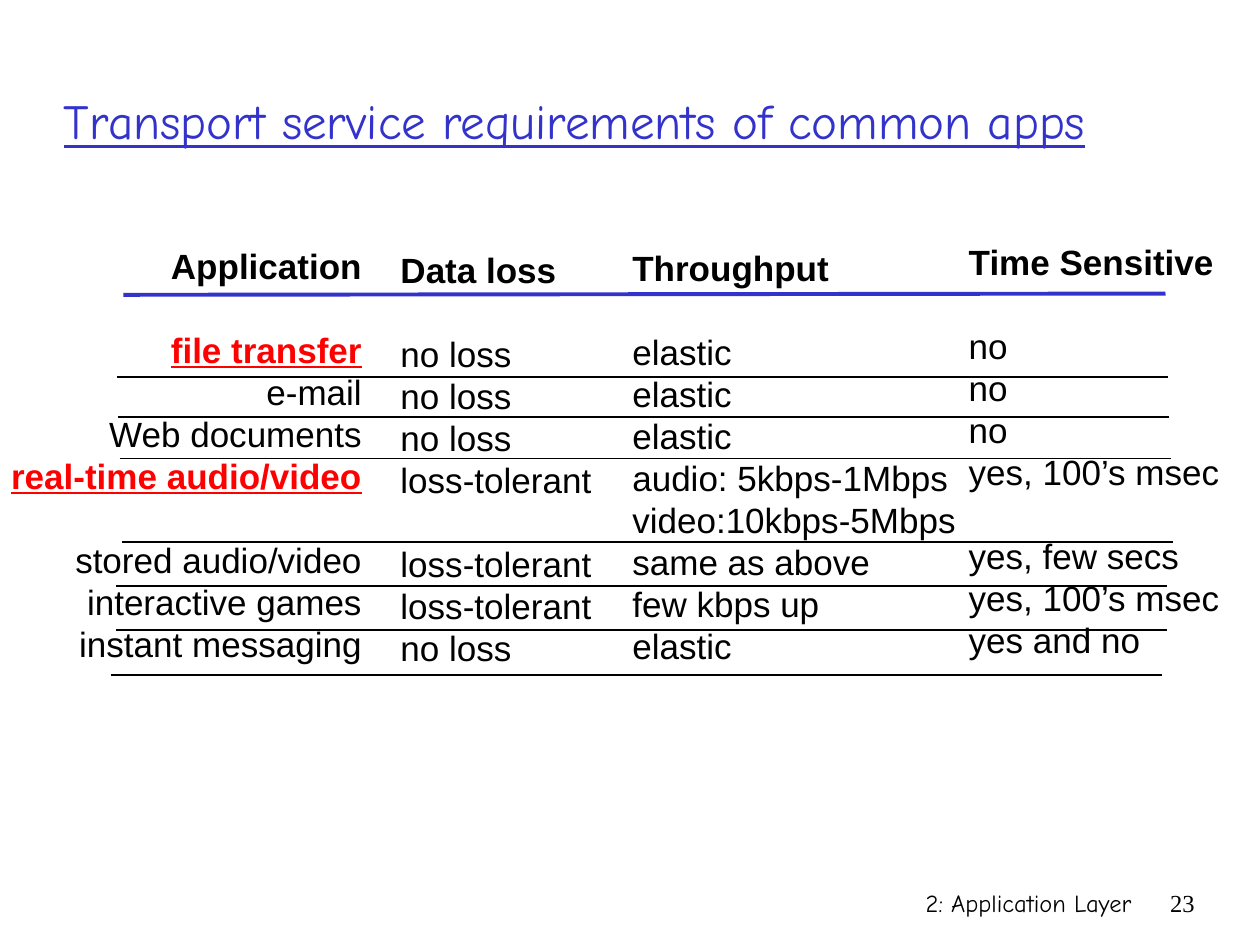
from pptx import Presentation
from pptx.dml.color import RGBColor
from pptx.enum.shapes import MSO_CONNECTOR
from pptx.enum.text import MSO_ANCHOR, PP_ALIGN
from pptx.oxml.ns import qn
from pptx.util import Inches, Pt
from lxml.etree import SubElement

BLACK = RGBColor(0, 0, 0)
BLUE = RGBColor(0x33, 0x33, 0xCC)
RED = RGBColor(0xFF, 0, 0)
LINE_PITCH = Pt(24)

HIGHLIGHTS = {"file transfer", "real-time audio/video"}
# Each column: left, top, width, alignment, texts (None leaves one line free)
COLUMNS = [
    (-0.01, 1.89, 2.98, PP_ALIGN.RIGHT,
     ["Application", None, "file transfer", "e-mail", "Web documents",
      "real-time audio/video", None, "stored audio/video",
      "interactive games", "instant messaging"]),
    (3.08, 1.92, 1.71, PP_ALIGN.LEFT,
     ["Data loss", None, "no loss", "no loss", "no loss", "loss-tolerant",
      None, "loss-tolerant", "loss-tolerant", "no loss"]),
    (4.92, 1.91, 2.82, PP_ALIGN.LEFT,
     ["Throughput", None, "elastic", "elastic", "elastic",
      "audio: 5kbps-1Mbps", "video:10kbps-5Mbps", "same as above",
      "few kbps up", "elastic"]),
    (7.59, 1.86, 2.26, PP_ALIGN.LEFT,
     ["Time Sensitive", None, "no", "no", "no", "yes, 100’s msec", None,
      "yes, few secs", "yes, 100’s msec", "yes and no"]),
]
COLUMN_HEIGHT = 3.44
RULE_WIDTH = 8.34
ROW_RULES = [(0.93, 2.99), (0.94, 3.31), (0.95, 3.64), (0.97, 4.3),
             (0.92, 4.65), (0.92, 5), (0.88, 5.36)]


def add_box(page, left, top, width, height):
    """Add an empty wrapping text box and return its text frame."""
    box = page.shapes.add_textbox(Inches(left), Inches(top),
                                  Inches(width), Inches(height))
    box.text_frame.word_wrap = True
    return box.text_frame


def write(para, text, size, face, color=BLACK, bold=False, underline=False,
          align=PP_ALIGN.LEFT):
    """Fill a paragraph with text in one style."""
    para.text = text
    para.alignment = align
    font = para.runs[0].font
    font.size, font.name, font.color.rgb = Pt(size), face, color
    font.bold, font.underline = bold, underline


def add_title(page, left, top, width, height):
    """Add the underlined heading, centred in height."""
    frame = add_box(page, left, top, width, height)
    frame.vertical_anchor = MSO_ANCHOR.MIDDLE
    write(frame.paragraphs[0], "Transport service requirements of common apps",
          28, "Comic Neue", BLUE, underline=True)


def add_column(page, left, top, width, align, texts):
    """Add a column of one-line entries under a bold header."""
    frame = add_box(page, left, top, width, COLUMN_HEIGHT)
    # The ragged side needs no inset, so the longest entry stays on one line.
    if align == PP_ALIGN.RIGHT:
        frame.margin_left = 0
    else:
        frame.margin_right = 0
    para, gap = frame.paragraphs[0], 0
    for index, text in enumerate(texts):
        if text is None:
            gap = LINE_PITCH
            continue
        if index:
            para = frame.add_paragraph()
        marked = text in HIGHLIGHTS
        write(para, text, 20, "Arial", RED if marked else BLACK,
              bold=marked or index == 0, underline=marked, align=align)
        para.line_spacing = LINE_PITCH
        para.space_before = gap
        gap = 0


def add_rule(page, start, end, color, weight):
    """Draw a straight line without shadow."""
    rule = page.shapes.add_connector(MSO_CONNECTOR.STRAIGHT,
                                     *map(Inches, start + end))
    rule.line.color.rgb = color
    rule.line.width = Pt(weight)
    SubElement(rule._element.spPr, qn("a:effectLst"))


def add_footer(page, left, top, width, height):
    """Add the chapter name and the page number at the right."""
    number_width = 0.5
    name_width = width - number_width
    parts = [("2: Application Layer", "Comic Neue", left, name_width),
             ("23", "Times New Roman", left + name_width, number_width)]
    for text, face, part_left, part_width in parts:
        frame = add_box(page, part_left, top, part_width, height)
        write(frame.paragraphs[0], text, 14, face, align=PP_ALIGN.RIGHT)


deck = Presentation()
deck.slide_width, deck.slide_height = Inches(10), Inches(7.5)
page = deck.slides.add_slide(deck.slide_layouts[6])
add_footer(page, 5.92, 7, 3.66, 0.5)
add_title(page, 0.41, 0.33, 8.97, 1.25)
for column in COLUMNS:
    add_column(page, *column)
add_rule(page, (0.98, 2.34), (9.25, 2.33), BLUE, 2.24)
for left, top in ROW_RULES:
    add_rule(page, (left, top), (left + RULE_WIDTH, top), BLACK, 1)
deck.save("out.pptx")
